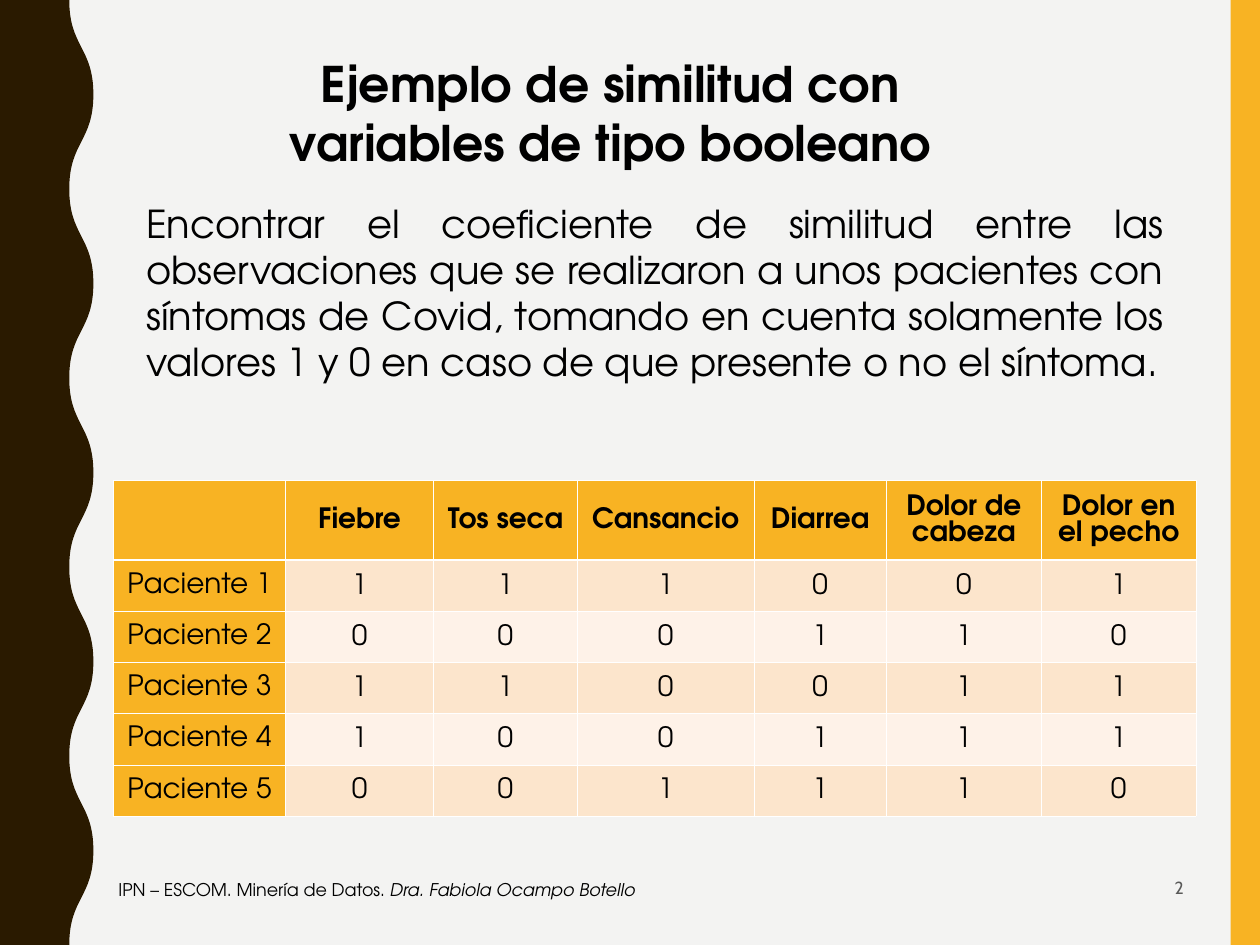
from lxml import etree
from pptx import Presentation
from pptx import util as u
from pptx.dml.color import RGBColor
from pptx.enum import shapes, text
from pptx.oxml.ns import qn

Pt = u.Pt
COLORS = {"background": "F3F3F2", "amber": "F8B323", "brown": "2A1A00",
          "black": "000000", "gray": "595959", "white": "FFFFFF",
          "odd": "FCE5CC", "even": "FEF2E8"}
FONT = "TeX Gyre Adventor"
ALIGN = text.PP_ALIGN
MIDDLE = text.MSO_ANCHOR.MIDDLE
HEADERS = ["", "Fiebre", "Tos seca", "Cansancio", "Diarrea",
           "Dolor de cabeza", "Dolor en el pecho"]
SYMPTOMS = ["111001", "000110", "110011", "100111", "001110"]
COL_WIDTHS = [98.1, 84.7, 82.1, 101, 75.6, 88.6, 88.4]
HEADER_HEIGHT, ROW_HEIGHT = 45.4, 29.25


def rgb(name):
    return RGBColor.from_string(COLORS[name])


def paint(sp, color):
    sp.shadow.inherit = False
    sp.fill.solid()
    sp.fill.fore_color.rgb = rgb(color)
    sp.line.fill.background()


def write(tf, content, size=16, font=FONT, color="black", bold=False,
          italic=False, align=ALIGN.LEFT, spacing=None):
    p = tf.paragraphs[0]
    p.alignment = align
    if spacing:
        p.line_spacing = spacing
    r = p.add_run()
    r.text = content
    r.font.size = Pt(size)
    r.font.name = font
    r.font.color.rgb = rgb(color)
    r.font.bold = bold
    r.font.italic = italic


def add_box(s, left, top, width, height, anchor=text.MSO_ANCHOR.TOP):
    sp = s.shapes.add_textbox(Pt(left), Pt(top), Pt(width), Pt(height))
    tf = sp.text_frame
    tf.word_wrap = True
    tf.vertical_anchor = anchor
    return tf


def curve_segment(line, start, end):
    middle = (start[1] + end[1]) // 2
    curve = etree.Element(qn("a:cubicBezTo"))
    for x, y in ((start[0], middle), (end[0], middle), end):
        etree.SubElement(curve, qn("a:pt"), x=str(x), y=str(y))
    line.getparent().replace(line, curve)


def add_wave(s, inner=39.6, outer=53.4, half=54, count=10):
    points = [(Pt(outer if i % 2 else inner), Pt(half * i))
              for i in range(count + 1)]
    outline = s.shapes.build_freeform(*points[0])
    outline.add_line_segments(points[1:] + [(0, Pt(half * count)), (0, 0)])
    sp = outline.convert_to_shape()
    lines = list(sp._element.iter(qn("a:lnTo")))
    for line, start, end in zip(lines, points, points[1:]):
        curve_segment(line, start, end)
    paint(sp, "brown")


def set_borders(cell, row):
    tc_pr = cell._tc.get_or_add_tcPr()
    heavy = {0: "lnB", 1: "lnT"}.get(row)
    for i, side in enumerate(("lnL", "lnR", "lnT", "lnB")):
        width = 1.47 if side == heavy else 0.45
        ln = etree.Element(qn("a:" + side), w=str(int(Pt(width))))
        fill = etree.SubElement(ln, qn("a:solidFill"))
        etree.SubElement(fill, qn("a:srgbClr"), val=COLORS["white"])
        tc_pr.insert(i, ln)


def fill_cell(cell, content, row, col):
    is_value = row > 0 and col > 0
    band = "odd" if row % 2 else "even"
    cell.fill.solid()
    cell.fill.fore_color.rgb = rgb(band if is_value else "amber")
    cell.vertical_anchor = MIDDLE
    cell.margin_left = cell.margin_right = Pt(5 if is_value else 7.2)
    set_borders(cell, row)
    if content:
        write(cell.text_frame, content, bold=row == 0, align=ALIGN.CENTER,
              spacing=1.07 if is_value else None)


def add_symptom_table(s):
    rows = [HEADERS] + [[f"Paciente {i}", *values]
                        for i, values in enumerate(SYMPTOMS, 1)]
    heights = [HEADER_HEIGHT] + [ROW_HEIGHT] * len(SYMPTOMS)
    table = s.shapes.add_table(len(rows), len(HEADERS), Pt(65), Pt(274.6),
                               Pt(sum(COL_WIDTHS)), Pt(sum(heights))).table
    for column, width in zip(table.columns, COL_WIDTHS):
        column.width = Pt(width)
    for i, (row, height) in enumerate(zip(rows, heights)):
        table.rows[i].height = Pt(height)
        for j, content in enumerate(row):
            fill_cell(table.cell(i, j), content, i, j)


def main():
    prs = Presentation()
    prs.slide_width, prs.slide_height = Pt(720), Pt(540)
    s = prs.slides.add_slide(prs.slide_layouts[6])
    s.background.fill.solid()
    s.background.fill.fore_color.rgb = rgb("background")

    stripe = s.shapes.add_shape(shapes.MSO_SHAPE.RECTANGLE,
                                Pt(703.2), 0, Pt(16.8), Pt(540))
    paint(stripe, "amber")
    add_wave(s)

    title = add_box(s, 133.4, 27, 430.6, 74.9)
    write(title, "Ejemplo de similitud con variables de tipo booleano",
          size=28, bold=True, align=ALIGN.CENTER)
    body = add_box(s, 76.6, 110.5, 595.4, 113)
    write(body, "Encontrar el coeficiente de similitud entre las observaciones "
          "que se realizaron a unos pacientes con síntomas de Covid, tomando "
          "en cuenta solamente los valores 1 y 0 en caso de que presente o no "
          "el síntoma.", size=22, align=ALIGN.JUSTIFY)
    number = add_box(s, 517.2, 496, 166.3, 24.5, MIDDLE)
    write(number, "2", size=10, font="Cabin", color="gray",
          align=ALIGN.RIGHT, spacing=0.8)
    add_symptom_table(s)
    footer = add_box(s, 60.6, 490.3, 424, 36, MIDDLE)
    write(footer, "IPN – ESCOM. Minería de Datos. ", size=10)
    write(footer, "Dra. Fabiola Ocampo Botello", size=10, italic=True)
    prs.save("out.pptx")


if __name__ == "__main__":
    main()
